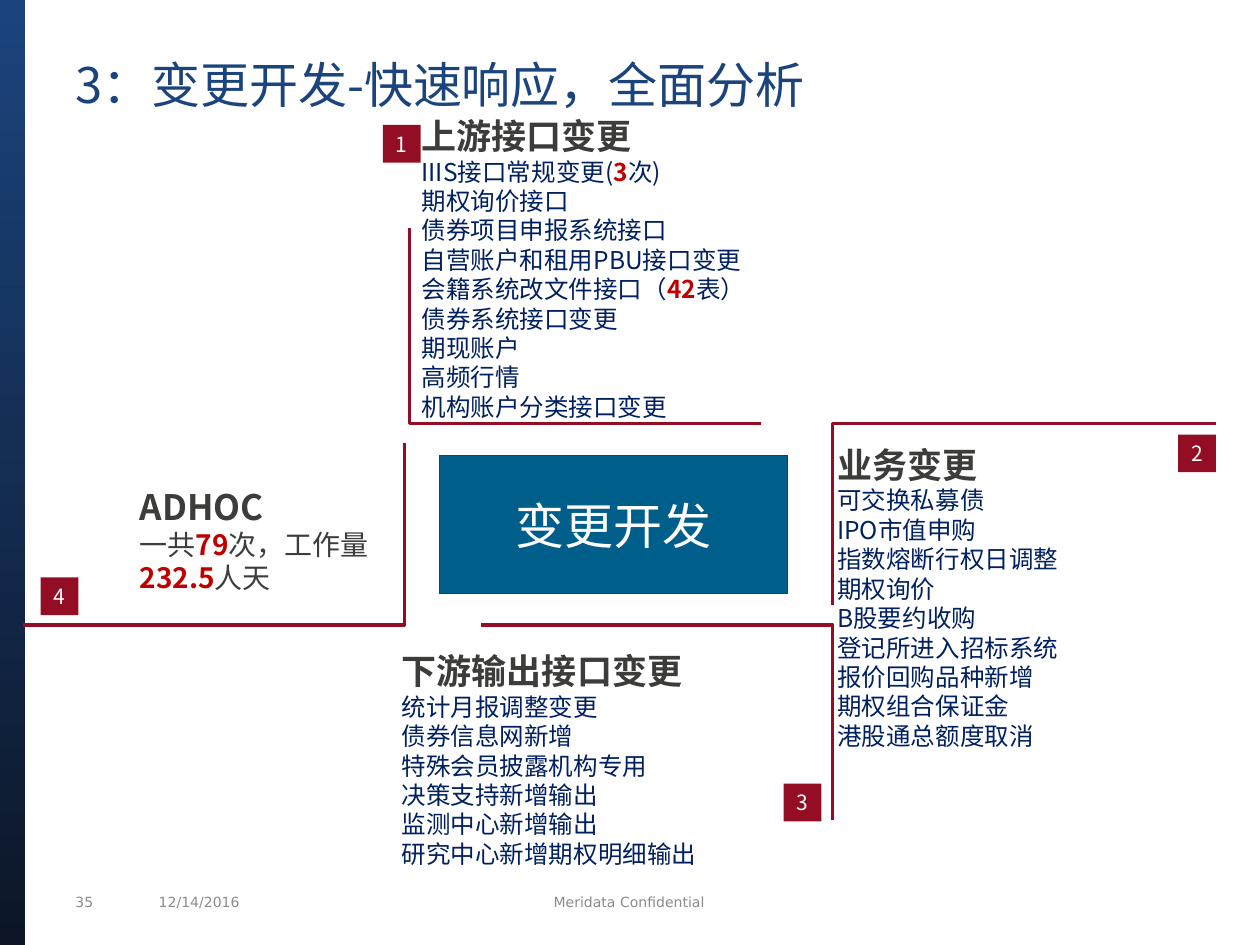
from pptx import Presentation
from pptx.dml.color import RGBColor
from pptx.enum.shapes import MSO_SHAPE
from pptx.enum.text import MSO_ANCHOR, PP_ALIGN
from pptx.oxml.ns import qn
from pptx.util import Cm, Pt
from lxml.etree import SubElement

CJK, LATIN = "Noto Sans CJK SC", "DejaVu Sans"
RED, NAVY, GREY, ACCENT = "930E24", "002060", "3C3C3B", "C00000"
rgb = RGBColor.from_string


def style(p, size, color, bold=False, name=CJK, align=PP_ALIGN.LEFT):
    p.alignment = align
    f = p.font
    f.size, f.bold, f.name = Pt(size), bold, name
    f.color.rgb = rgb(color)
    SubElement(p._p.pPr.find(qn("a:defRPr")), qn("a:ea")).set("typeface", name)


def frame(sp, anchor, wrap=True):
    tf = sp.text_frame
    tf.margin_left = tf.margin_right = tf.margin_top = tf.margin_bottom = 0
    tf.vertical_anchor, tf.word_wrap = anchor, wrap
    return tf


prs = Presentation()
prs.slide_width, prs.slide_height = Cm(25.4), Cm(19.05)
s = prs.slides.add_slide(prs.slide_layouts[6])

# Footer
for text, x, w, align in [
    ("35", 1.52, 0.8, PP_ALIGN.LEFT),
    ("12/14/2016", 3.2, 3.8, PP_ALIGN.LEFT),
    ("Meridata Confidential", 7.39, 10.59, PP_ALIGN.CENTER),
]:
    tf = frame(s.shapes.add_textbox(Cm(x), Cm(17.88), Cm(w), Cm(0.61)), MSO_ANCHOR.MIDDLE)
    tf.text = text
    style(tf.paragraphs[0], 8, "8B8B89", name=LATIN, align=align)

# Side band
sp = s.shapes.add_shape(MSO_SHAPE.RECTANGLE, 0, 0, Cm(0.51), Cm(19.05))
sp.shadow.inherit = False
sp.line.fill.background()
sp.fill.gradient()
sp.fill.gradient_angle = 90
for stop, color in zip(sp.fill.gradient_stops, ("0C1627", "1B447D")):
    stop.color.rgb = rgb(color)

# Title
tf = frame(s.shapes.add_textbox(Cm(1.52), Cm(0.98), Cm(22.35), Cm(1.42)), MSO_ANCHOR.MIDDLE)
tf.text = "3：变更开发-快速响应，全面分析"
style(tf.paragraphs[0], 28, "1B447D")

# Brackets around the centre
for start, *rest in [
    [(8.26, 4.6), (8.26, 8.53), (15.34, 8.53)],
    [(24.51, 8.53), (16.79, 8.53), (16.79, 12.19)],
    [(16.79, 16.54), (16.79, 12.6), (9.7, 12.6)],
    [(0.46, 12.6), (8.15, 12.6), (8.15, 8.94)],
]:
    path = s.shapes.build_freeform(Cm(start[0]), Cm(start[1]))
    path.add_line_segments([(Cm(x), Cm(y)) for x, y in rest], close=False)
    sp = path.convert_to_shape()
    sp.shadow.inherit = False
    sp.fill.background()
    sp.line.color.rgb = rgb(RED)
    sp.line.width = Pt(1.75)

# Centre box and number tags
for text, x, y, w, h, size, fill in [
    ("变更开发", 8.86, 9.18, 7.01, 2.79, 28, "005E8A"),
    ("1", 7.72, 2.52, 0.76, 0.76, 12, RED),
    ("2", 23.75, 8.76, 0.76, 0.76, 12, RED),
    ("3", 15.8, 15.8, 0.76, 0.76, 12, RED),
    ("4", 0.82, 11.64, 0.76, 0.76, 12, RED),
]:
    sp = s.shapes.add_shape(MSO_SHAPE.RECTANGLE, Cm(x), Cm(y), Cm(w), Cm(h))
    sp.shadow.inherit = False
    sp.fill.solid()
    sp.fill.fore_color.rgb = rgb(fill)
    if fill == RED:
        sp.line.fill.background()
    else:
        sp.line.color.rgb = rgb(RED)
        sp.line.width = Pt(0.5)
    tf = frame(sp, MSO_ANCHOR.MIDDLE, wrap=fill != RED)
    tf.text = text
    style(tf.paragraphs[0], size, "FFFFFF", align=PP_ALIGN.CENTER)

# Change lists; figures between asterisks are highlighted
for x, y, w, h, size, color, head, items in [
    (8.5, 2.31, 10.03, 6.25, 14, NAVY, "上游接口变更", [
        "IIIS接口常规变更(*3*次)", "期权询价接口", "债券项目申报系统接口",
        "自营账户和租用PBU接口变更", "会籍系统改文件接口（*42*表）",
        "债券系统接口变更", "期现账户", "高频行情", "机构账户分类接口变更"]),
    (2.82, 9.78, 5, 2.9, 16, GREY, "ADHOC", ["一共*79*次，工作量*232.5*人天"]),
    (8.1, 13.1, 8.81, 4.45, 14, NAVY, "下游输出接口变更", [
        "统计月报调整变更", "债券信息网新增", "特殊会员披露机构专用",
        "决策支持新增输出", "监测中心新增输出", "研究中心新增期权明细输出"]),
    (16.88, 8.94, 7.39, 7.44, 14, NAVY, "业务变更", [
        "可交换私募债", "IPO市值申购", "指数熔断行权日调整", "期权询价", "B股要约收购",
        "登记所进入招标系统", "报价回购品种新增", "期权组合保证金", "港股通总额度取消"]),
]:
    tf = frame(s.shapes.add_textbox(Cm(x), Cm(y), Cm(w), Cm(h)), MSO_ANCHOR.TOP)
    p = tf.paragraphs[0]
    p.text = head
    style(p, 20, GREY, bold=True)
    p.line_spacing = Pt(24)
    for item in items:
        p = tf.add_paragraph()
        style(p, size, color)
        p.line_spacing = Pt(size * 1.2)
        for i, part in enumerate(item.split("*")):
            r = p.add_run()
            r.text = part
            if i % 2:
                r.font.bold = True
                r.font.color.rgb = rgb(ACCENT)

prs.save("out.pptx")
